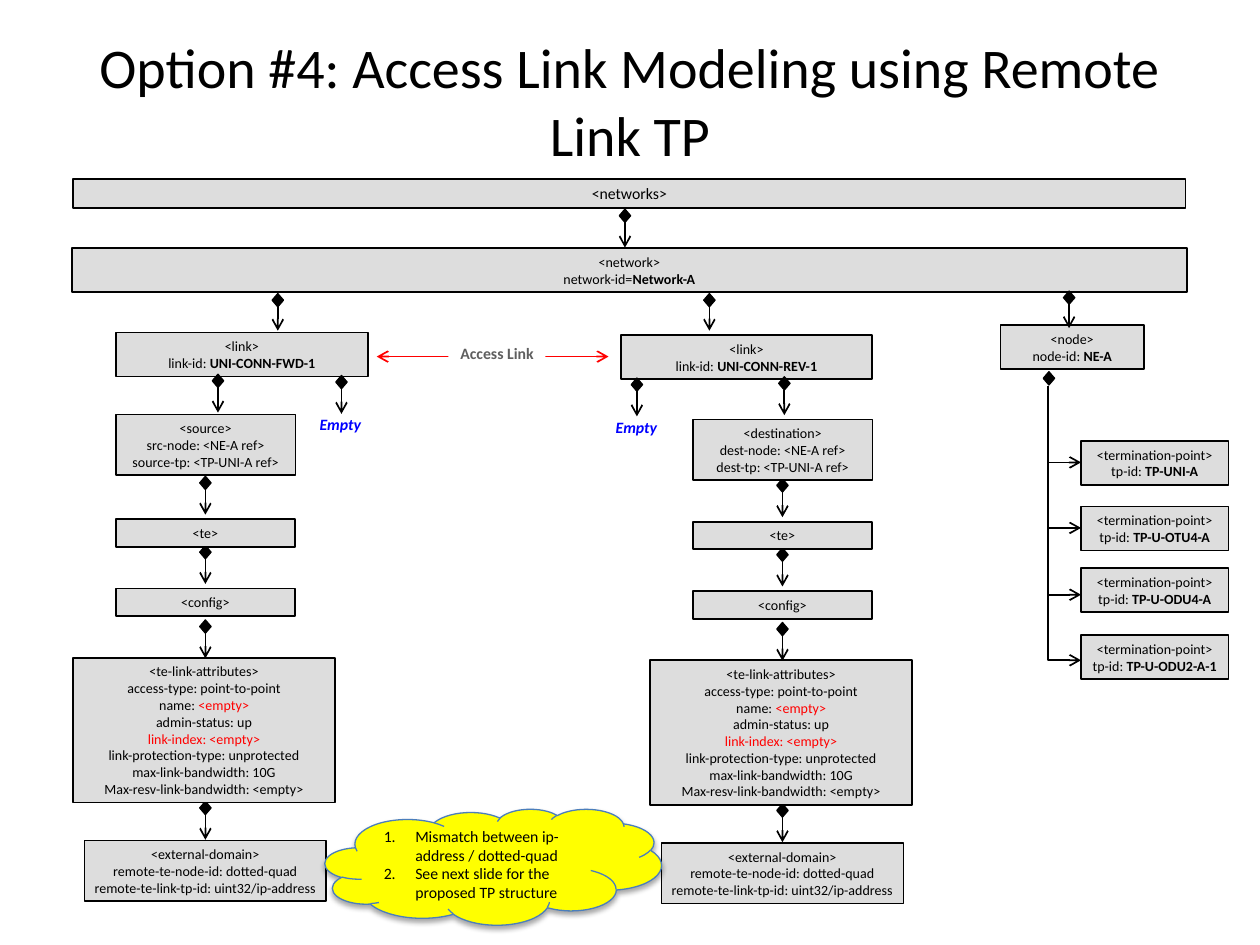
from lxml.etree import SubElement as Sub
from pptx import Presentation
from pptx.dml.color import RGBColor as Rgb
from pptx.enum.shapes import MSO_CONNECTOR as Link, MSO_SHAPE as Kind
from pptx.enum.text import MSO_ANCHOR as Anchor, MSO_AUTO_SIZE as Auto, PP_ALIGN as Align
from pptx.oxml.ns import qn
from pptx.util import Inches, Pt

WIDE, HIGH = Inches(10), Inches(7.5)
COLS, ROWS = 100, 75
HUES = {"ink": "000000", "grey": "DDDDDD", "red": "FF0000", "blue": "0000FF",
        "slate": "5F5F5F", "white": "FFFFFF", "sun": "FFFF00", "edge": "4B7EBC"}
BOLD, RED = {"bold": True}, {"hue": "red"}
TIGHT = {"margin_left": Pt(5), "margin_right": Pt(5), "margin_top": Pt(3),
         "margin_bottom": Pt(3), "vertical_anchor": Anchor.TOP, "word_wrap": True,
         "auto_size": Auto.SHAPE_TO_FIT_TEXT}
LOOSE = {"vertical_anchor": Anchor.MIDDLE, "word_wrap": True}

TRAITS = ["<te-link-attributes>", "access-type: point-to-point", "name: |<empty>",
          "admin-status: up", "|link-index: <empty>", "link-protection-type: unprotected",
          "max-link-bandwidth: 10G", "Max-resv-link-bandwidth: <empty>"]
DOMAIN = ["<external-domain>", "remote-te-node-id: dotted-quad",
          "remote-te-link-tp-id: uint32/ip-address"]
POINTS = {35: "TP-UNI-A", 40.2: "TP-U-OTU4-A", 45.1: "TP-U-ODU4-A", 50.4: "TP-U-ODU2-A-1"}
BENDS = [(30.6, 36.7), (36.5, 41.9), (41.7, 47.2), (47.2, 52.4)]


def hue(name):
    return Rgb.from_string(HUES[name])


def grid(x, y):
    return round(x * WIDE / COLS), round(y * HIGH / ROWS)


def apply(part, form):
    for key, value in form.items():
        setattr(part, key, value)


def write(shape, lines, size, frame, mark=BOLD, align=Align.CENTER, **font):
    """Fill a shape with lines; the part of a line after a bar takes the mark format."""
    text = shape.text_frame
    apply(text, frame)
    for i, line in enumerate(lines):
        para = text.paragraphs[0] if i == 0 else text.add_paragraph()
        para.alignment = align
        for j, part in enumerate(line.split("|")):
            if part:
                form = {"name": "Calibri", "size": Pt(size), "hue": "ink",
                        **font, **(mark if j else {})}
                run = para.add_run()
                run.text = part
                run.font.color.rgb = hue(form.pop("hue"))
                apply(run.font, form)


def draw(tree, kind, spot, fill, edge="ink", width=1):
    x, y, w, h = spot
    shape = tree.add_shape(kind, *grid(x, y), *grid(w, h))
    shape.shadow.inherit = False
    shape.fill.solid()
    shape.fill.fore_color.rgb = hue(fill)
    if edge:
        shape.line.color.rgb = hue(edge)
        shape.line.width = Pt(width)
    else:
        shape.line.fill.background()
    return shape


def box(tree, spot, lines, size=8, mark=BOLD, fit=Auto.SHAPE_TO_FIT_TEXT):
    shape = draw(tree, Kind.RECTANGLE, spot, "grey")
    write(shape, lines, size, {**TIGHT, "auto_size": fit}, mark)


def label(tree, spot, text, **font):
    x, y, w, h = spot
    shape = tree.add_textbox(*grid(x, y), *grid(w, h))
    write(shape, [text], 9, {**TIGHT, "word_wrap": False}, bold=True, **font)


def arrow(tree, start, end, tint="ink", ends=("tailEnd",), kind=Link.STRAIGHT):
    line = tree.add_connector(kind, *grid(*start), *grid(*end))
    line.line.color.rgb = hue(tint)
    line.line.width = Pt(1)
    pen = line.line._get_or_add_ln()
    for end_tag in ends:
        Sub(pen, qn("a:" + end_tag), type="arrow")
    Sub(line._element.spPr, qn("a:effectLst"))
    return line


def drop(tree, x, y, gap=1.05):
    """A diamond centred on x with a short arrow below it."""
    draw(tree, Kind.DIAMOND, (x - 0.45, y, 0.9, 1.05), "ink", width=0.75)
    arrow(tree, (x, y + gap), (x, y + gap + 2))


def bend(tree, x, top, right, low):
    """An arrow that runs down, then right: a turned and flipped one-corner connector."""
    w, h = low - top, right - x
    mid_x, mid_y = (x + right) / 2, (top + low) / 2
    line = arrow(tree, (mid_x - w / 2, mid_y - h / 2), (mid_x + w / 2, mid_y + h / 2),
                 kind=Link.ELBOW)
    form = line._element.spPr
    form.find(qn("a:prstGeom")).set("prst", "bentConnector2")
    turn = form.find(qn("a:xfrm"))
    turn.set("rot", str(270 * 60000))
    turn.set("flipH", "1")


def chain(tree, x, y, end):
    """The boxes below a link end, from te down to the external domain."""
    axis = x + 7.1
    for step in (37.8, 43.3, 49.2, 63.6):
        drop(tree, axis, y + step)
    for step, name in ((41.2, "<te>"), (46.7, "<config>")):
        box(tree, (x, y + step, 14.2, 2.2), [name], fit=Auto.NONE)
    box(tree, (x - 3.4, y + 52.2, 20.8, 11.5), TRAITS, mark=RED)
    box(tree, (x - 2.5, y + 66.7, 19.2, 4.8), DOMAIN)
    box(tree, (x, 32.9 + 2 * y, 14.25, 4.8), end)


def cloud(tree):
    shape = draw(tree, Kind.CLOUD, (25.8, 64.2, 26.7, 9.2), "sun", "edge", 0.75)
    write(shape, ["Mismatch between ip-address / dotted-quad",
                  "See next slide for the proposed TP structure"], 9, LOOSE, align=Align.LEFT)
    for para in shape.text_frame.paragraphs:
        form = para._p.get_or_add_pPr()
        form.set("marL", str(Inches(0.25)))
        form.set("indent", str(-Inches(0.25)))
        Sub(form, qn("a:buFont"), typeface="+mj-lt")
        Sub(form, qn("a:buAutoNum"), type="arabicPeriod")
    glow = Sub(shape._element.spPr.find(qn("a:effectLst")), qn("a:outerShdw"),
               blurRad=str(Pt(3.1)), dist=str(Pt(1.8)), dir=str(90 * 60000), rotWithShape="0")
    tint = Sub(glow, qn("a:srgbClr"), val=HUES["ink"])
    Sub(tint, qn("a:alpha"), val="35000")


def trunk(tree):
    box(tree, (5.8, 14.2, 88.3, 2.3), ["<networks>"], 9)
    drop(tree, 49.6, 16.6)
    box(tree, (5.7, 19.7, 88.5, 3.5), ["<network>", "network-id=|Network-A"])
    for x in (22.05, 56.3):
        drop(tree, x, 23.3, 0.95)


def links(tree):
    box(tree, (9.2, 26.4, 20, 3.5), ["<link>", "link-id: |UNI-CONN-FWD-1"])
    box(tree, (49.3, 26.6, 19.9, 3.5), ["<link>", "link-id: |UNI-CONN-REV-1"])
    for x, y in ((17.3, 29.7), (27.1, 29.8), (62.25, 29.9), (50.55, 30)):
        drop(tree, x, y)
    for x, y in ((24.4, 32.5), (47.9, 32.7)):
        label(tree, (x, y, 5.2, 2.3), "Empty", hue="blue", italic=True)
    arrow(tree, (29.9, 28.3), (48.3, 28.3), "red", ("headEnd", "tailEnd"))
    plate = draw(tree, Kind.RECTANGLE, (35.6, 26.9, 7.7, 2.3), "white", None)
    write(plate, ["Access Link"], 9, {**TIGHT, "word_wrap": False}, bold=True, hue="slate")


def node(tree):
    box(tree, (79.4, 25.8, 11.4, 3.5), ["<node>", "node-id: |NE-A"])
    drop(tree, 84.85, 23.1, 0.95)
    draw(tree, Kind.DIAMOND, (82.8, 29.5, 0.9, 1.05), "ink", width=0.75)
    for top, low in BENDS:
        bend(tree, 83.2, top, 85.8, low)
    for y, name in POINTS.items():
        box(tree, (85.8, y, 11.7, 3.5), ["<termination-point>", "tp-id: |" + name])


def main():
    deck = Presentation()
    deck.slide_width, deck.slide_height = WIDE, HIGH
    tree = deck.slides.add_slide(deck.slide_layouts[6]).shapes
    head = tree.add_textbox(*grid(5, 1.7), *grid(90, 12.5))
    write(head, ["Option #4: Access Link Modeling using Remote Link TP"], 32, LOOSE)
    trunk(tree)
    links(tree)
    node(tree)
    chain(tree, 9.2, 0, ["<source>", "src-node: <NE-A ref>", "source-tp: <TP-UNI-A ref>"])
    chain(tree, 55, 0.2, ["<destination>", "dest-node: <NE-A ref>", "dest-tp: <TP-UNI-A ref>"])
    cloud(tree)
    deck.save("out.pptx")


if __name__ == "__main__":
    main()
